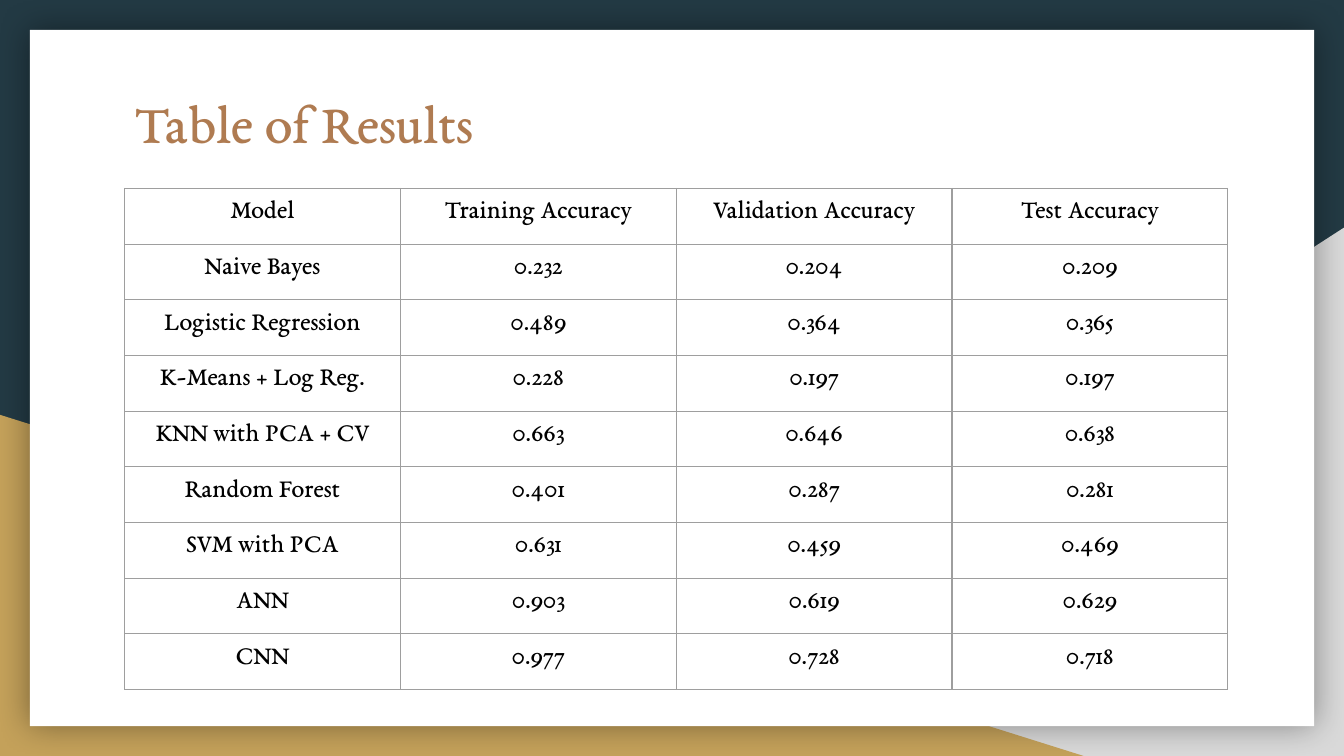
from lxml import etree
from pptx import Presentation
from pptx.dml.color import RGBColor
from pptx.enum.shapes import MSO_SHAPE
from pptx.enum.text import PP_ALIGN
from pptx.oxml import parse_xml
from pptx.oxml.ns import nsdecls, qn
from pptx.util import Pt

RECT = MSO_SHAPE.RECTANGLE
TRIANGLE = MSO_SHAPE.RIGHT_TRIANGLE
CENTER = PP_ALIGN.CENTER

FONT = "EB Garamond"
WIDTH, HEIGHT = 720, 405
NAVY, GREY, GOLD = "233A44", "D9D9D9", "C4A15A"
WHITE, BLACK, COPPER, RULE = "FFFFFF", "000000", "AF7B51", "9E9E9E"

RESULTS = [
    ("Model", "Training Accuracy", "Validation Accuracy", "Test Accuracy"),
    ("Naive Bayes", "0.232", "0.204", "0.209"),
    ("Logistic Regression", "0.489", "0.364", "0.365"),
    ("K-Means + Log Reg.", "0.228", "0.197", "0.197"),
    ("KNN with PCA + CV", "0.663", "0.646", "0.638"),
    ("Random Forest", "0.401", "0.287", "0.281"),
    ("SVM with PCA", "0.631", "0.459", "0.469"),
    ("ANN", "0.903", "0.619", "0.629"),
    ("CNN", "0.977", "0.728", "0.718"),
]


def rgb(color):
    return RGBColor.from_string(color)


def style_text(p, size, color):
    for r in p.runs:
        r.font.name = FONT
        r.font.size = Pt(size)
        r.font.color.rgb = rgb(color)


def add_panel(s, kind, box, color):
    sp = s.shapes.add_shape(kind, *map(Pt, box))
    sp.shadow.inherit = False
    sp.fill.solid()
    sp.fill.fore_color.rgb = rgb(color)
    sp.line.fill.background()
    return sp


def add_glow(sp, blur, alpha):
    """Add a soft black shadow around all sides; alpha is in percent."""
    effects = sp._element.spPr.find(qn("a:effectLst"))
    shadow = etree.SubElement(effects, qn("a:outerShdw"), blurRad=str(Pt(blur)),
                              dist="0", dir="0", algn="ctr", rotWithShape="0")
    color = etree.SubElement(shadow, qn("a:srgbClr"), val=BLACK)
    etree.SubElement(color, qn("a:alpha"), val=str(alpha * 1000))


def add_backdrop(s, box):
    """Navy background, two corner triangles and the white card inside box."""
    left, top, width, height = box
    s.background.fill.solid()
    s.background.fill.fore_color.rgb = rgb(NAVY)
    right_w, right_h = 438, 283
    left_w, left_h = 580.5, 182.75
    bottom = top + height
    corner = add_panel(s, TRIANGLE, (left + width - right_w, bottom - right_h, right_w, right_h), GREY)
    corner._element.spPr.find(qn("a:xfrm")).set("flipH", "1")
    add_panel(s, TRIANGLE, (left, bottom - left_h, left_w, left_h), GOLD)
    margin = 16
    card = add_panel(s, RECT, (left + margin, top + margin,
                               width - 2 * margin, height - 2 * margin), WHITE)
    add_glow(card, 18, 40)


def add_title(s, box, text):
    tf = s.shapes.add_textbox(*map(Pt, box)).text_frame
    tf.word_wrap = True
    tf.margin_left = tf.margin_right = tf.margin_top = tf.margin_bottom = Pt(7.2)
    tf.text = text
    style_text(tf.paragraphs[0], 30, COPPER)


def add_borders(cell):
    tcPr = cell._tc.get_or_add_tcPr()
    for i, side in enumerate(("lnL", "lnR", "lnT", "lnB")):
        tcPr.insert(i, parse_xml(
            f'<a:{side} {nsdecls("a")} w="{Pt(0.75)}"><a:solidFill>'
            f'<a:srgbClr val="{RULE}"/></a:solidFill></a:{side}>'))


def add_results(s, box, rows):
    table = s.shapes.add_table(len(rows), len(rows[0]), *map(Pt, box)).table
    table.first_row = table.horz_banding = False
    for col in table.columns:
        col.width = Pt(box[2] / len(rows[0]))
    for row, values in zip(table.rows, rows):
        row.height = Pt(box[3] / len(rows))
        for cell, value in zip(row.cells, values):
            cell.margin_left = cell.margin_right = Pt(7.2)
            cell.margin_top = cell.margin_bottom = Pt(7.2)
            cell.fill.background()
            add_borders(cell)
            cell.text_frame.text = value
            p = cell.text_frame.paragraphs[0]
            p.alignment = CENTER
            p.line_spacing = 0.8
            style_text(p, 14, BLACK)


def main():
    prs = Presentation()
    prs.slide_width, prs.slide_height = Pt(WIDTH), Pt(HEIGHT)
    s = prs.slides.add_slide(prs.slide_layouts[6])
    add_backdrop(s, (0, 0, WIDTH, HEIGHT))
    add_title(s, (64.8, 39.6, 591, 75), "Table of Results")
    add_results(s, (66.75, 101, 591, 268.5), RESULTS)
    prs.save("out.pptx")


if __name__ == "__main__":
    main()
